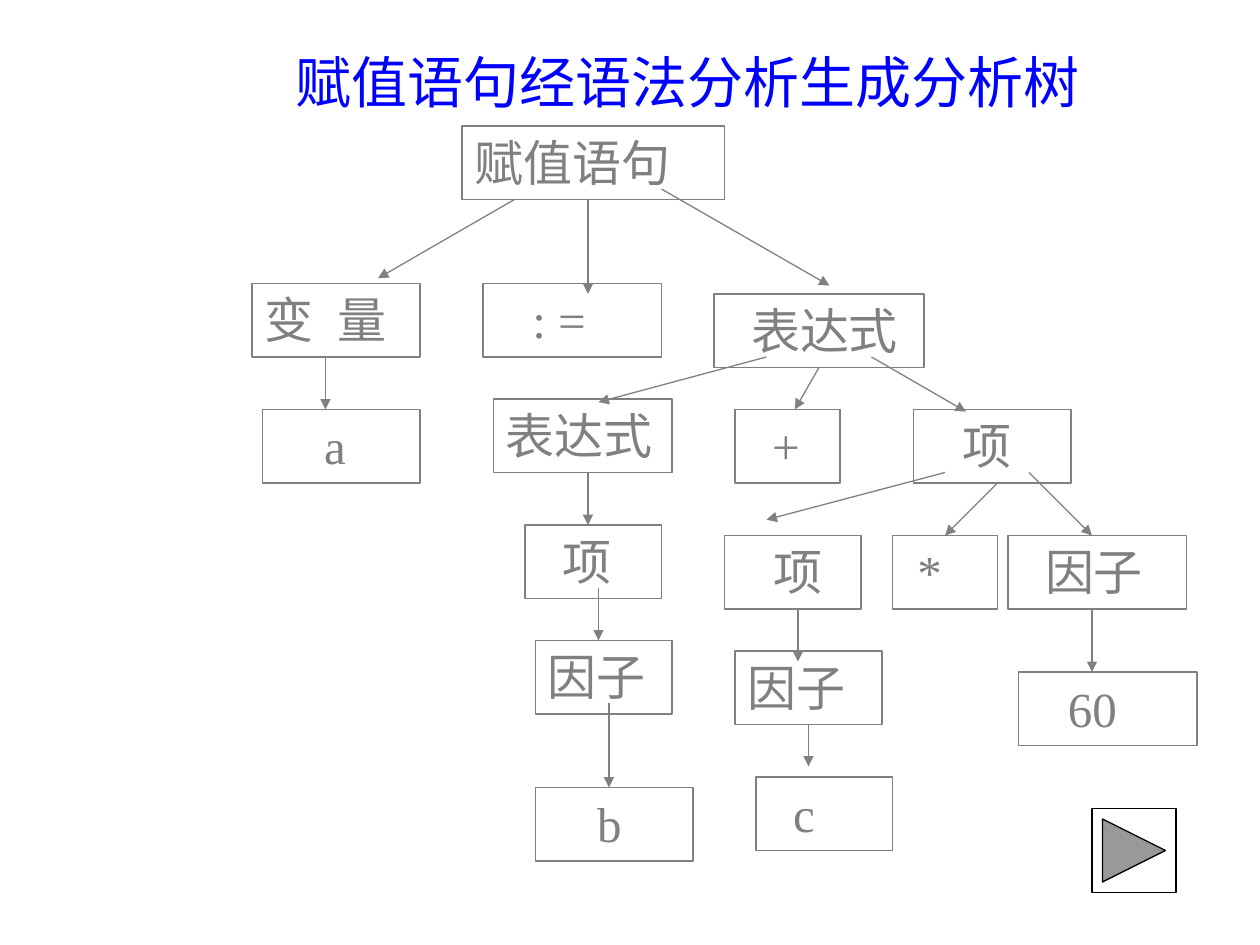
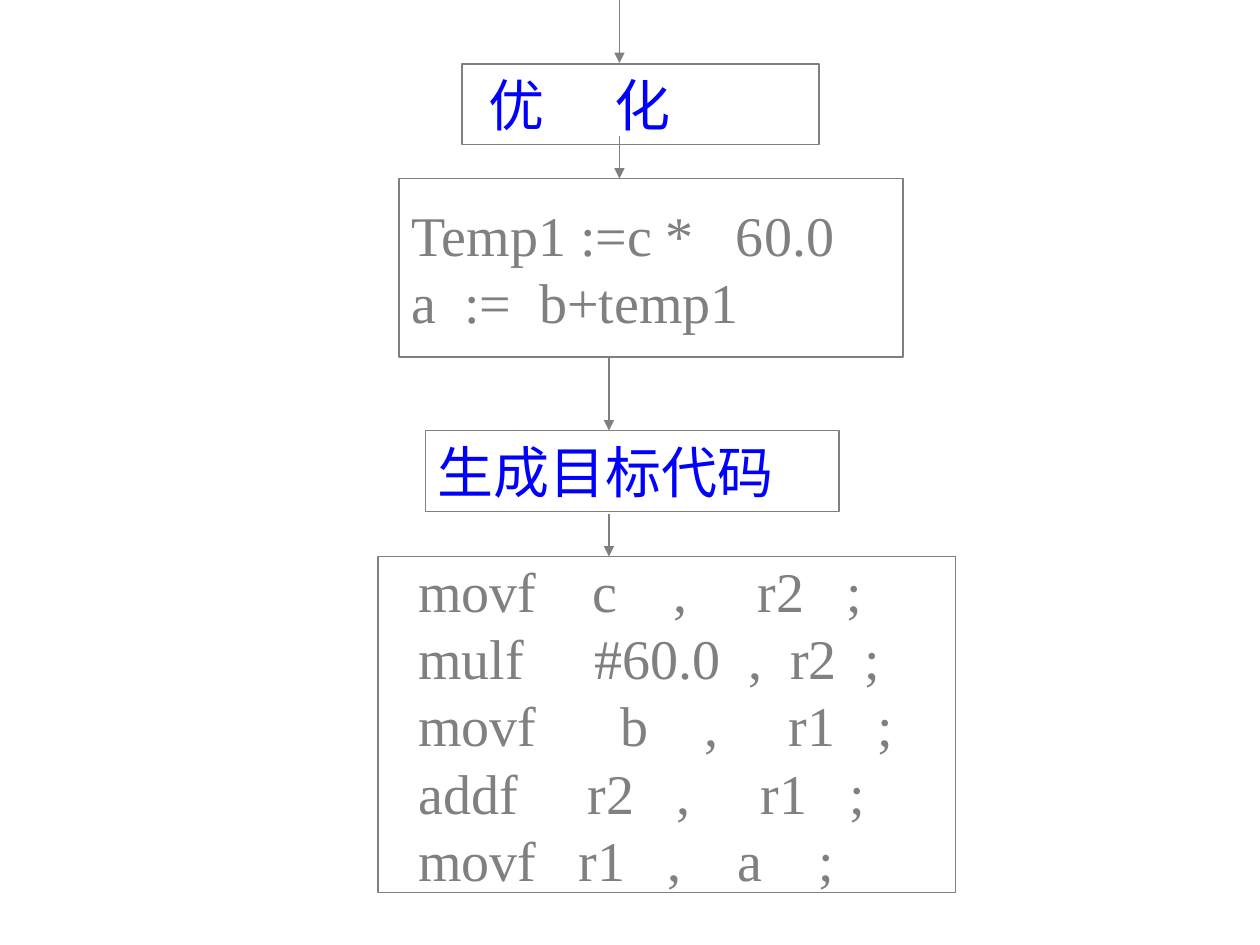
from lxml import etree
from pptx import Presentation
from pptx import util as u
from pptx.dml.color import RGBColor
from pptx.enum import shapes, text
from pptx.oxml import ns

GREY, BLUE, WHITE, BLACK = "808080", "0000FF", "FFFFFF", "000000"
FONT = "Times New Roman"
rgb = RGBColor.from_string

prs = Presentation()
prs.slide_width, prs.slide_height = u.Inches(10), u.Inches(7.5)
cell = prs.slide_width / 120


def write(tf, content, size=28, color=GREY, align=text.PP_ALIGN.LEFT,
          anchor=text.MSO_ANCHOR.TOP, indent=0, tab=None, grow=True):
    tf.word_wrap = True
    tf.auto_size = text.MSO_AUTO_SIZE.SHAPE_TO_FIT_TEXT if grow else text.MSO_AUTO_SIZE.NONE
    tf.vertical_anchor = anchor
    tf.margin_left = u.Inches(0.1) + u.Pt(indent * size / 4)
    for i, line in enumerate(content.split("\n")):
        p = tf.paragraphs[0] if i == 0 else tf.add_paragraph()
        p.alignment = align
        if tab:
            tabs = etree.SubElement(p._p.get_or_add_pPr(), ns.qn("a:tabLst"))
            etree.SubElement(tabs, ns.qn("a:tab"), pos=str(u.Pt(tab)), algn="l")
        r = p.add_run()
        r.text = line
        r.font.name, r.font.size = FONT, u.Pt(size)
        r.font.color.rgb = rgb(color)


def add_box(s, x, y, w, h, content="", line=GREY, kind=shapes.MSO_SHAPE.RECTANGLE, **fmt):
    sp = s.shapes.add_shape(kind, *(round(v * cell) for v in (x, y, w, h)))
    sp.shadow.inherit = False
    sp.fill.solid()
    sp.fill.fore_color.rgb = rgb(WHITE)
    sp.line.color.rgb = rgb(line)
    sp.line.width = u.Pt(0.75)
    if content:
        write(sp.text_frame, content, **fmt)


tree = prs.slides.add_slide(prs.slide_layouts[5])
title = tree.shapes.title
title.left, title.top, title.width, title.height = (
    round(v * cell) for v in (23, 4, 85, 7.4))
title.fill.solid()
title.fill.fore_color.rgb = rgb(WHITE)
write(title.text_frame, "赋值语句经语法分析生成分析树", size=32, color=BLUE,
      align=text.PP_ALIGN.CENTER, anchor=text.MSO_ANCHOR.MIDDLE, grow=False)

nodes = [
    (44, 12, 25, "赋值语句", 0),
    (24, 27, 16, "变\t量", 0),
    (46, 27, 17, ": =", 3),
    (68, 28, 20, "表达式", 2),
    (25, 39, 15, "a", 4),
    (47, 38, 17, "表达式", 0),
    (70, 39, 10, "+", 2),
    (87, 39, 15, "项", 3),
    (50, 50, 13, "项", 2),
    (69, 51, 13, "项", 3),
    (85, 51, 10, "*", 1),
    (96, 51, 17, "因子", 2),
    (51, 61, 13, "因子", 0),
    (70, 62, 14, "因子", 0),
    (97, 64, 17, "60", 3),
    (51, 75, 15, "b", 4),
    (72, 74, 13, "c", 2),
]
for x, y, w, label, indent in nodes:
    add_box(tree, x, y, w, 7, label, indent=indent, tab=42 if "\t" in label else None)
add_box(tree, 104, 77, 8, 8, line=BLACK, kind=shapes.MSO_SHAPE.ACTION_BUTTON_FORWARD_OR_NEXT)

code = prs.slides.add_slide(prs.slide_layouts[6])
steps = [
    (44, 6.1, 34, 7.7, "优\t化", dict(color=BLUE, indent=1, tab=72)),
    (38, 17, 48, 17, "Temp1 :=c *   60.0\na  :=  b+temp1", dict(grow=False)),
    (40.5, 41, 39.4, 7.7, "生成目标代码", dict(color=BLUE)),
    (36, 53, 55, 32,
     "  movf    c    ,     r2   ;\n"
     "  mulf     #60.0  ,  r2  ;\n"
     "  movf      b    ,     r1   ;\n"
     "  addf     r2   ,     r1   ;\n"
     "  movf   r1   ,    a    ;", dict(grow=False)),
]
for x, y, w, h, content, fmt in steps:
    add_box(code, x, y, w, h, content, size=32, anchor=text.MSO_ANCHOR.MIDDLE, **fmt)

tree_arrows = [
    (49, 19, 36, 26.5), (56, 19, 56, 28), (63, 18, 79, 27.2),
    (31, 34, 31, 39),
    (73, 34, 57, 38.3), (78, 35, 75.7, 39), (83, 34, 92, 39.2),
    (56, 45, 56, 50), (57, 56, 57, 61), (58, 67, 58, 75),
    (90, 45, 73, 49.5), (95, 46, 90, 51), (98, 45, 104, 51),
    (76, 58, 76, 63), (77, 69, 77, 73), (104, 58, 104, 64),
]
code_arrows = [(59, 0, 59, 6), (59, 13, 59, 17), (58, 34, 58, 41), (58, 49, 58, 53)]
for s, arrows in ((tree, tree_arrows), (code, code_arrows)):
    for ends in arrows:
        c = s.shapes.add_connector(shapes.MSO_CONNECTOR.STRAIGHT,
                                   *(round(v * cell) for v in ends))
        c.line.color.rgb = rgb(GREY)
        c.line.width = u.Pt(0.75)
        etree.SubElement(c.line._get_or_add_ln(), ns.qn("a:tailEnd"), type="triangle")
        etree.SubElement(c._element.spPr, ns.qn("a:effectLst"))

prs.save("out.pptx")
